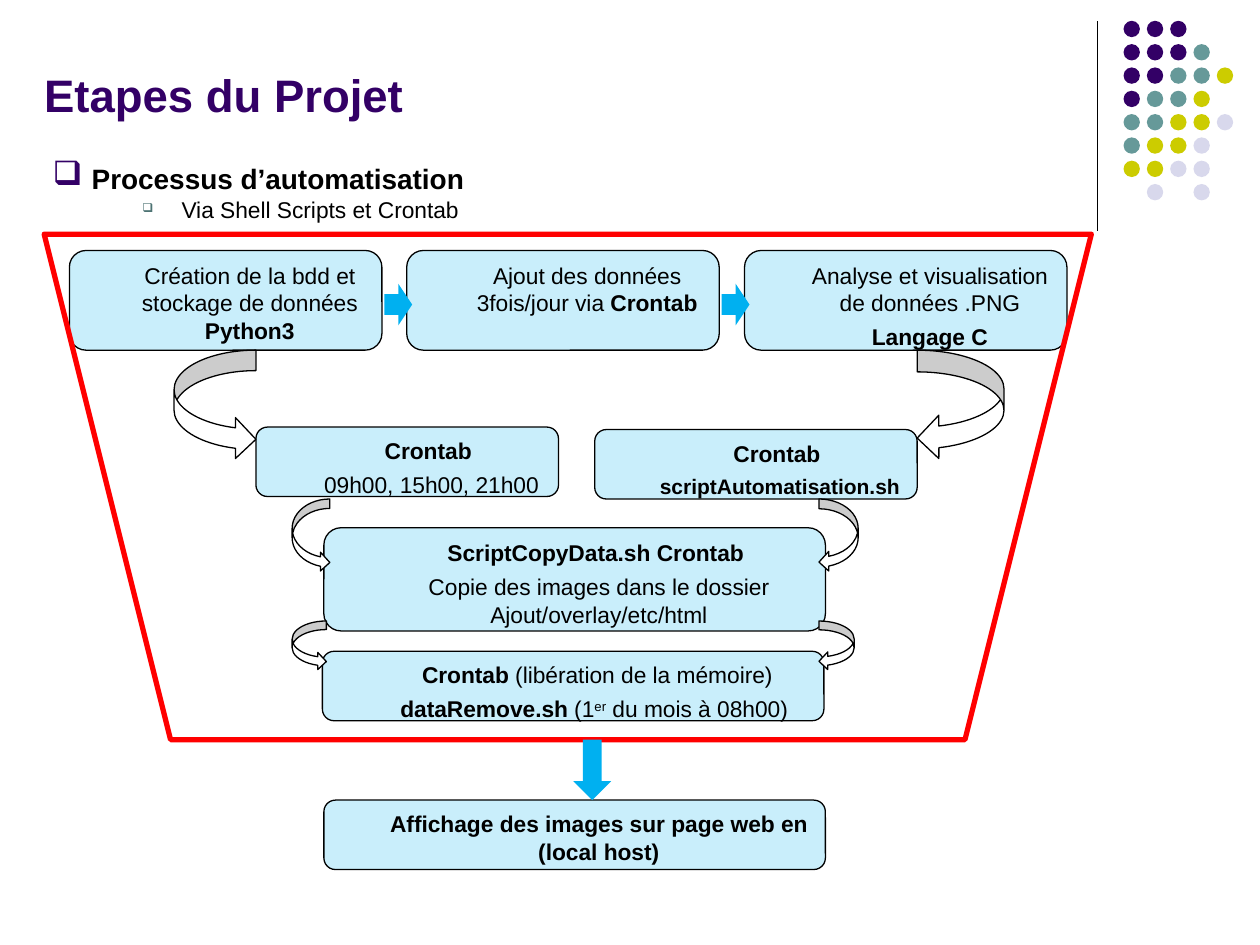
from lxml import etree
from pptx import Presentation
from pptx import util as u
from pptx.dml.color import RGBColor
from pptx.enum import shapes, text
from pptx.oxml.ns import qn

COLORS = {
    "purple": "330066", "teal": "669999", "dark_teal": "4D7373",
    "lime": "CCCC00", "lavender": "D8D8EC", "sky": "00B0F0",
    "black": "000000", "white": "FFFFFF", "red": "FF0000",
}
KIND = shapes.MSO_SHAPE
FRAME = {
    "word_wrap": True,
    "margin_left": u.Cm(0.25), "margin_right": u.Cm(0.25),
    "margin_top": u.Cm(0.13), "margin_bottom": u.Cm(0.13),
}
STEP_PARA = {
    "alignment": text.PP_ALIGN.CENTER,
    "space_before": u.Pt(3.5), "space_after": u.Pt(0.3),
}
SMALL = {"size": u.Pt(12)}
SUPER = {"baseline": "30000"}

deck = Presentation()
deck.slide_width, deck.slide_height = u.Cm(25.4), u.Cm(19.05)
page = deck.slides.add_slide(deck.slide_layouts[6])


def draw(kind, place, fill=None, line=None, width=0.75):
    shape = page.shapes.add_shape(kind, *map(u.Cm, place))
    shape.shadow.inherit = False
    for part, color in ((shape.fill, fill), (shape.line.fill, line)):
        if color:
            part.solid()
            part.fore_color.rgb = RGBColor.from_string(COLORS[color])
        else:
            part.background()
    if line:
        shape.line.width = u.Pt(width)
    return shape


def write(para, spans, para_format, size=13, color="black"):
    for name, value in para_format.items():
        setattr(para, name, value)
    for words, bold, *extra in spans:
        span = para.add_run()
        span.text = words
        font_format = {"name": "Arial", "size": u.Pt(size), "bold": bold}
        for changes in extra:
            font_format.update(changes)
        baseline = font_format.pop("baseline", None)
        for name, value in font_format.items():
            setattr(span.font, name, value)
        span.font.color.rgb = RGBColor.from_string(COLORS[color])
        if baseline:
            span._r.get_or_add_rPr().set("baseline", baseline)


rule = page.shapes.add_connector(
    shapes.MSO_CONNECTOR.STRAIGHT, u.Cm(22.12), u.Cm(0.43), u.Cm(22.12), u.Cm(4.65))
rule.line.width = u.Pt(0.75)
rule.line.color.rgb = RGBColor.from_string(COLORS["black"])
etree.SubElement(rule._element.spPr, qn("a:effectLst"))

dot_colors = {"P": "purple", "T": "teal", "L": "lime", "V": "lavender"}
dot_rows = ["PPP", "PPPT", "PPTTL", "PTTL", "TTLLV", "TLLV", "LLVV", " V V"]
for row, marks in enumerate(dot_rows):
    for column, mark in enumerate(marks):
        if mark in dot_colors:
            draw(KIND.OVAL, (22.65 + 0.47 * column, 0.42 + 0.47 * row, 0.33, 0.33),
                 dot_colors[mark])

title = page.shapes.add_textbox(u.Cm(0.64), u.Cm(0.91), u.Cm(21.39), u.Cm(1.68)).text_frame
outline = page.shapes.add_textbox(u.Cm(0.69), u.Cm(3.12), u.Cm(21.31), u.Cm(2.01)).text_frame
for frame in (title, outline):
    for name, value in FRAME.items():
        setattr(frame, name, value)
title.vertical_anchor = text.MSO_ANCHOR.BOTTOM
write(title.paragraphs[0], [("Etapes du Projet", True)], {}, 26, "purple")

outline_items = [
    ("Processus d’automatisation", True, 16, 0.91, "purple", 120,
     {"space_after": u.Pt(0.3)}),
    ("Via Shell Scripts et Crontab", False, 13, 2.72, "dark_teal", 55,
     {"level": 1, "space_before": u.Pt(0.3), "space_after": u.Pt(4.2)}),
]
for index, (words, bold, size, indent, color, percent, para_format) in enumerate(outline_items):
    para = outline.add_paragraph() if index else outline.paragraphs[0]
    props = para._p.get_or_add_pPr()
    props.set("marL", str(u.Cm(indent)))
    props.set("indent", str(u.Cm(-0.79)))
    bullet_color = etree.SubElement(props, qn("a:buClr"))
    etree.SubElement(bullet_color, qn("a:srgbClr"), val=COLORS[color])
    etree.SubElement(props, qn("a:buSzPct"), val=str(percent * 1000))
    etree.SubElement(props, qn("a:buChar"), char="❑")
    write(para, [(words, bold)], para_format, size)

steps = [
    ((1.4, 5.05, 6.3, 2.01),
     [[("Création de la bdd et stockage de données ", False), ("Python3", True)]]),
    ((8.2, 5.05, 6.3, 2.01),
     [[("Ajout des données 3fois/jour via ", False), ("Crontab", True)]]),
    ((15.01, 5.05, 6.5, 2.01),
     [[("Analyse et visualisation de données .PNG", False)], [("Langage C", True)]]),
    ((5.16, 8.61, 6.1, 1.4),
     [[("Crontab ", True)], [("09h00, 15h00, 21h00", False)]]),
    ((11.99, 8.66, 6.5, 1.4),
     [[("Crontab ", True)], [("scriptAutomatisation.sh", True, SMALL)]]),
    ((6.53, 10.64, 10.11, 2.08),
     [[("ScriptCopyData.sh Crontab ", True)],
      [("Copie des images dans le dossier Ajout/overlay/etc/html", False)]]),
    ((6.5, 13.13, 10.11, 1.4),
     [[("Crontab", True), (" (libération de la mémoire)", False)],
      [("dataRemove.sh ", True), ("(1", False), ("er", False, SUPER),
       (" du mois à 08h00) ", False)]]),
    ((6.53, 16.13, 10.11, 1.4),
     [[("Affichage des images sur page web en (local host)", True)]]),
]
for place, paras in steps:
    box = draw(KIND.ROUNDED_RECTANGLE, place, "sky", "black")
    tint = box._element.spPr.find(qn("a:solidFill")).find(qn("a:srgbClr"))
    etree.SubElement(tint, qn("a:alpha"), val="21000")
    frame = box.text_frame
    for name, value in {**FRAME, "vertical_anchor": text.MSO_ANCHOR.TOP}.items():
        setattr(frame, name, value)
    for index, spans in enumerate(paras):
        para = frame.add_paragraph() if index else frame.paragraphs[0]
        props = para._p.get_or_add_pPr()
        props.set("marL", str(u.Cm(0.97)))
        props.set("indent", "0")
        para_format = dict(STEP_PARA)
        if not index:
            para_format.pop("space_before")
        write(para, spans, para_format)

funnel = draw(KIND.TRAPEZOID, (0.89, 4.72, 21.11, 10.19), line="red", width=3)
funnel.rotation = 180

for kind, place in [
    (KIND.DOWN_ARROW, (11.56, 14.91, 0.76, 1.22)),
    (KIND.RIGHT_ARROW, (7.75, 5.72, 0.56, 0.84)),
    (KIND.RIGHT_ARROW, (14.55, 5.72, 0.56, 0.84)),
]:
    draw(kind, place, "sky")

for top, height, left_side, right_side in [
    (7.06, 2.21, (3.51, 1.65), (18.49, 1.75)),
    (10.06, 1.47, (5.89, 0.76), (16.51, 0.79)),
    (12.52, 0.99, (5.89, 0.69), (16.51, 0.71)),
]:
    for kind, (left, width) in ((KIND.CURVED_RIGHT_ARROW, left_side),
                                (KIND.CURVED_LEFT_ARROW, right_side)):
        draw(kind, (left, top, width, height), "white", "black")

deck.save("out.pptx")
